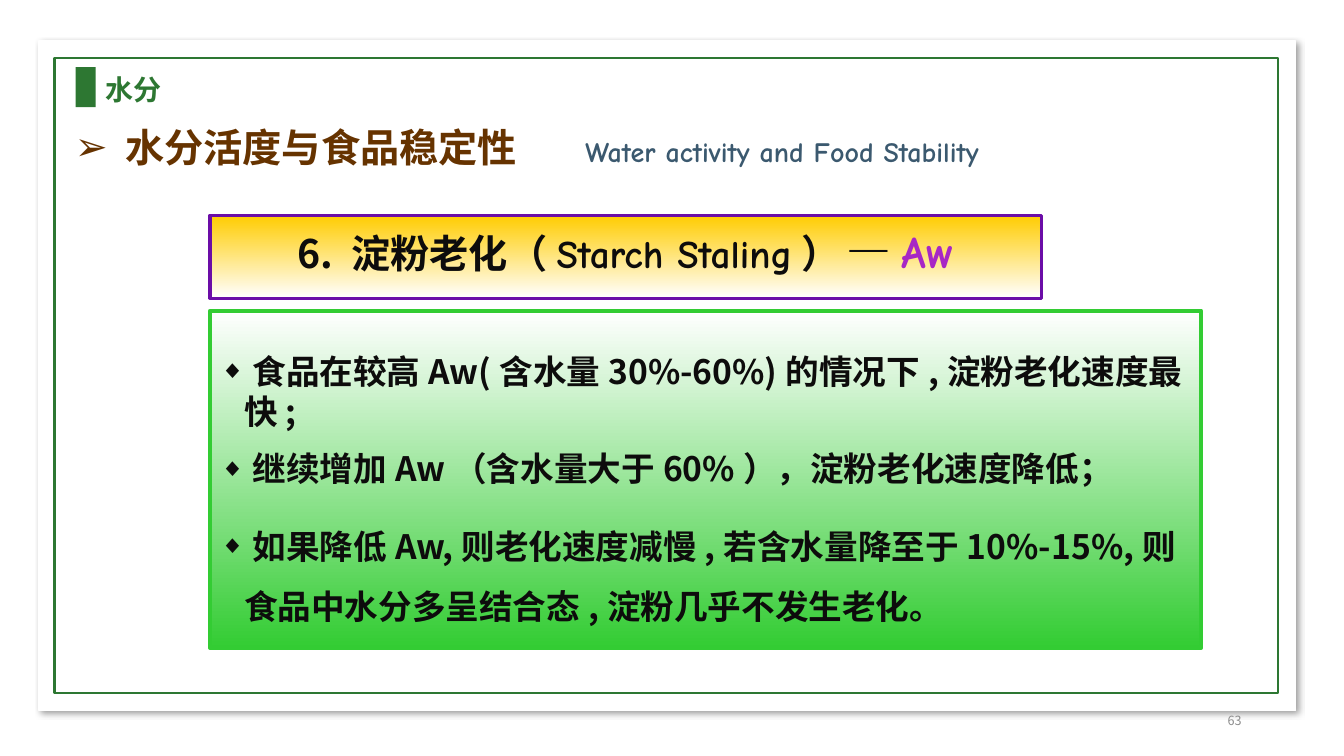
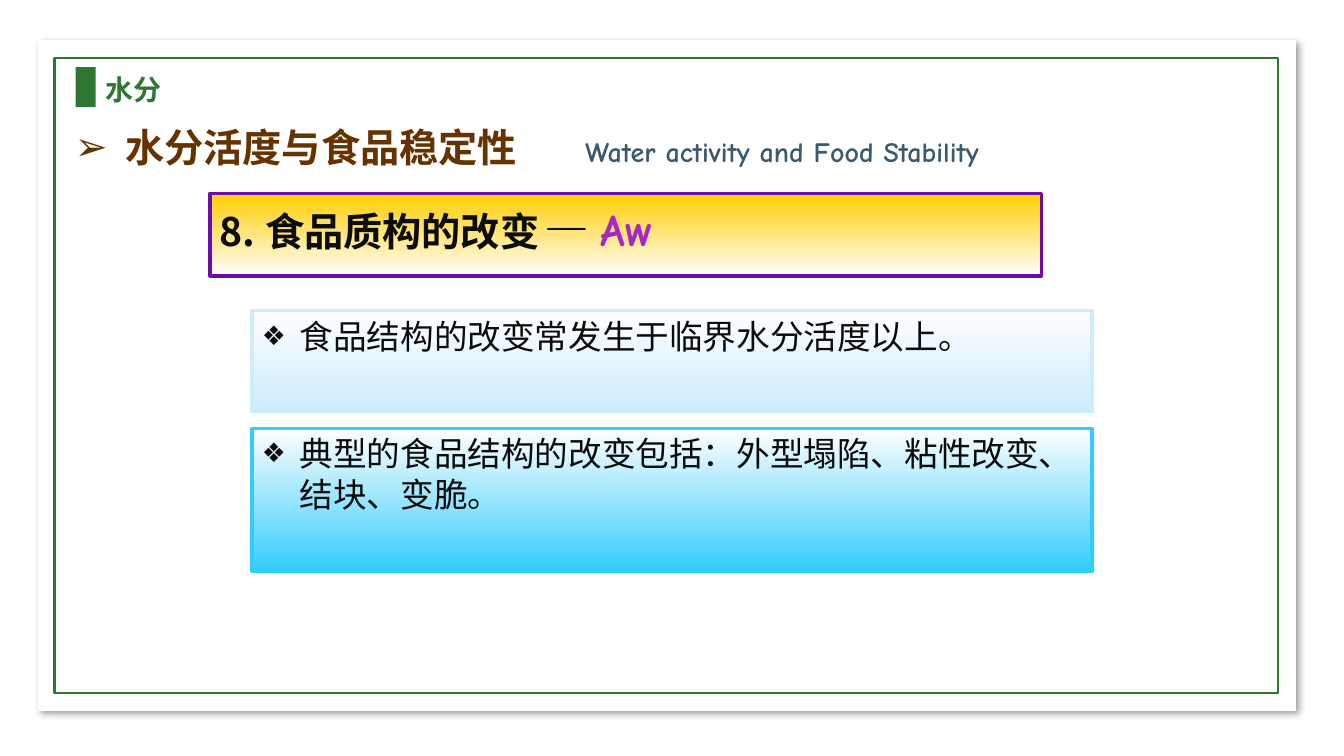
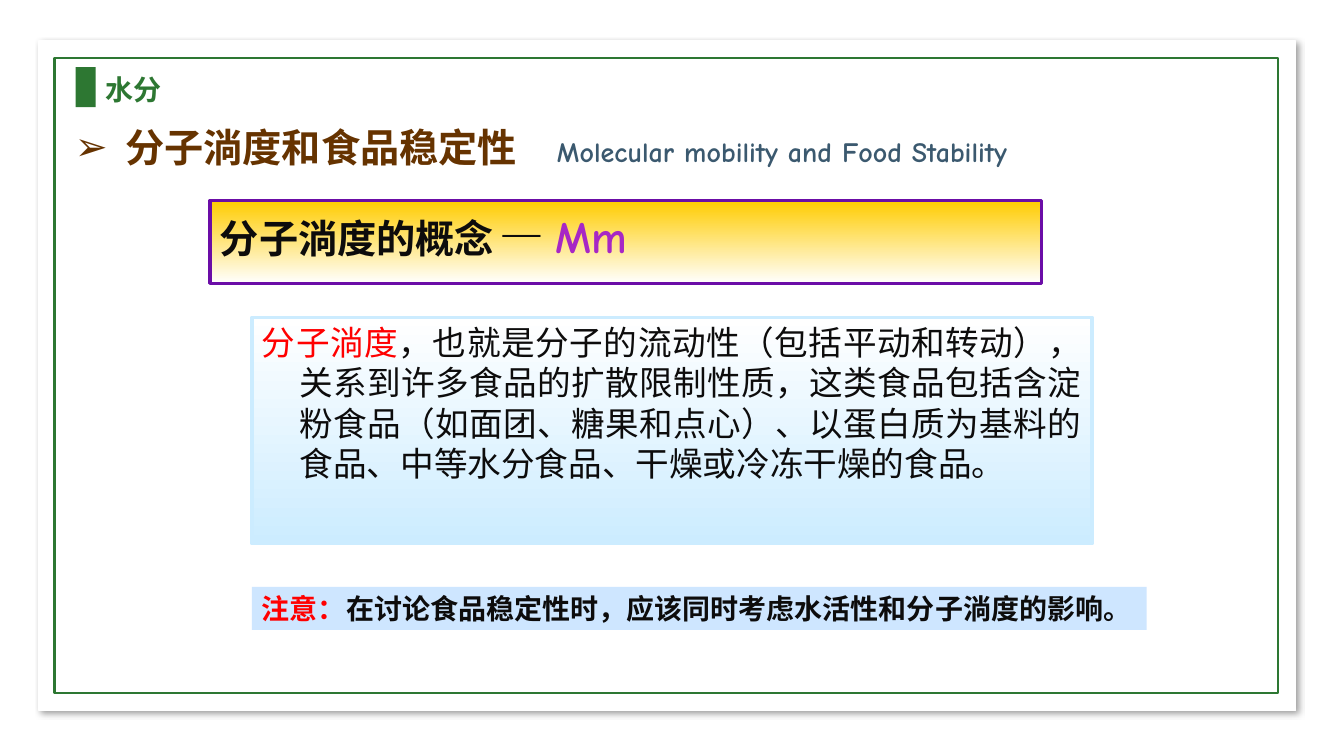
"""Build three slides on water activity, molecular mobility and food stability."""
from lxml.etree import SubElement
from pptx import Presentation
from pptx.dml.color import RGBColor
from pptx.enum.shapes import MSO_SHAPE
from pptx.enum.text import MSO_ANCHOR, PP_ALIGN
from pptx.oxml import parse_xml
from pptx.oxml.ns import nsdecls, qn
from pptx.util import Pt

PX = 9525
SANS, COMIC, ARIAL = "Noto Sans CJK SC", "Comic Neue", "Arial"
COLORS = {
    "white": "FFFFFF", "green": "2D7732", "brown": "663300", "slate": "3B596F",
    "ink": "0D0C0C", "red": "FF0000", "violet": "A727C5", "purple": "6B0DA7",
    "gold": "FFCC00", "lime": "33CC33", "pale": "CCECFF", "sky": "33CCFF",
    "note": "99CCFF", "gray": "8C8C8C",
}
SHADOW = (
    f'<a:effectLst {nsdecls("a")}><a:outerShdw blurRad="50800" dist="38100" dir="2700000" '
    'algn="tl" rotWithShape="0"><a:srgbClr val="000000"><a:alpha val="40000"/></a:srgbClr>'
    '</a:outerShdw></a:effectLst>'
)


def add_box(page, place, fill=None, line=None, width=2.25):
    """Add a rectangle with no, a solid or a top-to-bottom gradient fill."""
    box = page.shapes.add_shape(MSO_SHAPE.RECTANGLE, *(length * PX for length in place))
    box.shadow.inherit = False
    if isinstance(fill, tuple):
        box.fill.gradient()
        box.fill.gradient_angle = 270
        for stop, name, position in zip(box.fill.gradient_stops, fill, (0, 1)):
            stop.color.rgb = RGBColor.from_string(COLORS[name])
            stop.position = position
    elif fill:
        box.fill.solid()
        box.fill.fore_color.rgb = RGBColor.from_string(COLORS[fill])
    else:
        box.fill.background()
    if line:
        box.line.color.rgb = RGBColor.from_string(COLORS[line])
        box.line.width = Pt(width)
    else:
        box.line.fill.background()
    return box


def write(box, spans, align=PP_ALIGN.LEFT, bullet=None, bullet_size=100, hang=0,
          spacing=None, before=0, more=False, wrap=True, anchor=MSO_ANCHOR.TOP):
    """Write one paragraph from (text, size, font, color, bold) spans."""
    frame = box.text_frame
    frame.word_wrap = wrap
    frame.vertical_anchor = anchor
    para = frame.add_paragraph() if more else frame.paragraphs[0]
    para.alignment = align
    para.space_before = Pt(before)
    if spacing:
        para.line_spacing = spacing
    properties = para._p.get_or_add_pPr()
    properties.set("marL", str(hang * PX))
    properties.set("indent", str(-hang * PX))
    if bullet:
        SubElement(properties, qn("a:buSzPct")).set("val", str(bullet_size * 1000))
        SubElement(properties, qn("a:buFont")).set("typeface", ARIAL)
        SubElement(properties, qn("a:buChar")).set("char", bullet)
    for text, size, name, color, bold in spans:
        span = para.add_run()
        span.text = text
        font = para.font if len(spans) == 1 else span.font
        font.size = Pt(size)
        font.name = name
        font.bold = bold
        font.color.rgb = RGBColor.from_string(COLORS[color])
        SubElement(font._rPr, qn("a:ea")).set("typeface", SANS)


WATER = ("水分活度与食品稳定性", "Water activity and Food Stability")
MOBILITY = ("分子淌度和食品稳定性", "Molecular mobility and Food Stability")
SLIDES = [
    (WATER, 205, PP_ALIGN.CENTER, "Aw",
     [("6. 淀粉老化（", 28, SANS, "ink", True), ("Starch Staling）", 28, COMIC, "ink", True)]),
    (WATER, 184, PP_ALIGN.LEFT, "Aw",
     [("8.", 28, SANS, "ink", True), ("食品质构的改变", 28, COMIC, "ink", True)]),
    (MOBILITY, 191, PP_ALIGN.LEFT, "Mm", [("分子淌度的概念", 28, COMIC, "ink", True)]),
]

deck = Presentation()
deck.slide_width, deck.slide_height = 1280 * PX, 720 * PX
pages = []
for (title, english), top, align, symbol, heading in SLIDES:
    page = deck.slides.add_slide(deck.slide_layouts[6])
    pages.append(page)
    panel = add_box(page, (37, 39, 1197, 638), "white", "white", 1)
    properties = panel._element.spPr
    properties.replace(properties.find(qn("a:effectLst")), parse_xml(SHADOW))
    add_box(page, (52, 55, 1165, 605), None, "green", 1.75)

    add_box(page, (72, 64, 19, 38), "green")
    write(add_box(page, (91, 64, 74, 42)), [("水分", 20, SANS, "green", True)], wrap=False)
    write(add_box(page, (472, 123, 546, 41)), [(english, 20, COMIC, "slate", True)],
          align=PP_ALIGN.CENTER)
    write(add_box(page, (62, 113, 633, 55)), [(title, 28, SANS, "brown", True)],
          bullet="➢", hang=48)

    banner = add_box(page, (200, top, 792, 79), ("gold", "white"), "purple")
    banner.text_frame.margin_top = banner.text_frame.margin_bottom = 16 * PX
    write(banner, heading + [
        (" ", 18, ARIAL, "ink", False),
        ("—", 32, COMIC, "ink", True),
        (symbol, 32, COMIC, "violet", True),
    ], align=align, spacing=0.85)

staling, texture, mobility = pages

write(add_box(staling, (904, 667, 288, 38)), [("63", 9, SANS, "gray", False)],
      align=PP_ALIGN.RIGHT, anchor=MSO_ANCHOR.MIDDLE)
facts = add_box(staling, (200, 296, 944, 321), ("white", "lime"), "lime", 3)
facts.text_frame.margin_top = 38 * PX
for index, (text, spacing) in enumerate([
    (" 食品在较高Aw(含水量30%-60%)的情况下,淀粉老化速度最快;", None),
    (" 继续增加Aw（含水量大于60%），淀粉老化速度降低；", None),
    (" 如果降低Aw,则老化速度减慢,若含水量降至于10%-15%,则食品中水分多呈结合态,淀粉几乎不发生老化。", 1.5),
]):
    write(facts, [(text, 24, SANS, "ink", True)], bullet="◆", bullet_size=75, hang=23,
          spacing=spacing, before=12 if index else 0, more=index > 0)

for top, height, color, text in [
    (296, 96, "pale", "食品结构的改变常发生于临界水分活度以上。"),
    (408, 136, "sky", "典型的食品结构的改变包括：外型塌陷、粘性改变、结块、变脆。"),
]:
    write(add_box(texture, (240, top, 800, height), ("white", color), color),
          [(text, 24, COMIC, "ink", False)], bullet="❖", bullet_size=80, hang=36)

concept = add_box(mobility, (240, 302, 800, 216), ("white", "pale"), "pale")
write(concept, [
    ("分子淌度", 24, COMIC, "red", False),
    ("，也就是分子的流动性（包括平动和转动），关系到许多食品的扩散限制性质，这类食品包括含淀粉食品"
     "（如面团、糖果和点心）、以蛋白质为基料的食品、中等水分食品、干燥或冷冻干燥的食品。",
     24, COMIC, "ink", False),
], align=PP_ALIGN.JUSTIFY, hang=36)
reminder = add_box(mobility, (240, 559, 852, 41), "note")
SubElement(reminder._element.spPr.find(qn("a:solidFill"))[0], qn("a:alpha")).set("val", "48000")
write(reminder, [
    ("注意：", 20, ARIAL, "red", True),
    ("在讨论食品稳定性时，应该同时考虑水活性和分子淌度的影响。", 20, ARIAL, "ink", True),
], wrap=False)

deck.save("out.pptx")
